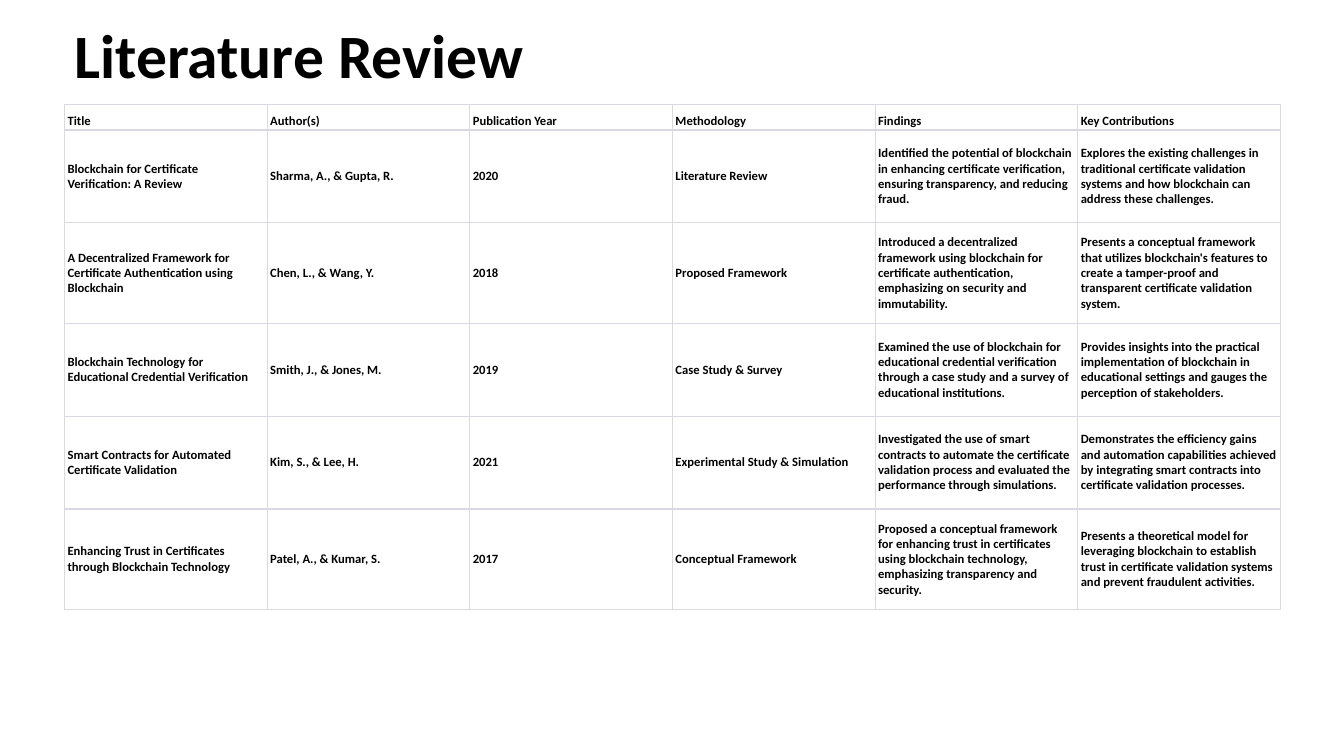
"""Builds the Literature Review slide with its table of blockchain studies."""
from dataclasses import astuple, dataclass

from lxml.etree import SubElement
from pptx import Presentation
from pptx.dml.color import RGBColor
from pptx.enum.text import MSO_ANCHOR as Anchor
from pptx.oxml.ns import qn
from pptx.slide import Slide
from pptx.table import _Cell as Cell
from pptx.text.text import _Paragraph as Paragraph
from pptx.util import Emu, Pt

EMU_PER_PX = 9144
BLACK = RGBColor(0x00, 0x00, 0x00)
BORDER = RGBColor(0xD9, 0xD9, 0xE3)
FONT = "Calibri"
THIN, REGULAR = Pt(0.6), Pt(1)
COLUMN_WIDTH = 201
ROW_HEIGHTS = (25, 92, 100, 92, 92, 100)


@dataclass(frozen=True)
class Study:
    title: str
    authors: str
    year: str
    methodology: str
    findings: str
    contributions: str


HEADINGS = Study(
    "Title", "Author(s)", "Publication Year", "Methodology", "Findings", "Key Contributions"
)
STUDIES = (
    Study(
        "Blockchain for Certificate Verification: A Review",
        "Sharma, A., & Gupta, R.",
        "2020",
        "Literature Review",
        "Identified the potential of blockchain in enhancing certificate verification, "
        "ensuring transparency, and reducing fraud.",
        "Explores the existing challenges in traditional certificate validation systems "
        "and how blockchain can address these challenges.",
    ),
    Study(
        "A Decentralized Framework for Certificate Authentication using Blockchain",
        "Chen, L., & Wang, Y.",
        "2018",
        "Proposed Framework",
        "Introduced a decentralized framework using blockchain for certificate "
        "authentication, emphasizing on security and immutability.",
        "Presents a conceptual framework that utilizes blockchain's features to create "
        "a tamper-proof and transparent certificate validation system.",
    ),
    Study(
        "Blockchain Technology for Educational Credential Verification",
        "Smith, J., & Jones, M.",
        "2019",
        "Case Study & Survey",
        "Examined the use of blockchain for educational credential verification through "
        "a case study and a survey of educational institutions.",
        "Provides insights into the practical implementation of blockchain in "
        "educational settings and gauges the perception of stakeholders.",
    ),
    Study(
        "Smart Contracts for Automated Certificate Validation",
        "Kim, S., & Lee, H.",
        "2021",
        "Experimental Study & Simulation",
        "Investigated the use of smart contracts to automate the certificate validation "
        "process and evaluated the performance through simulations.",
        "Demonstrates the efficiency gains and automation capabilities achieved by "
        "integrating smart contracts into certificate validation processes.",
    ),
    Study(
        "Enhancing Trust in Certificates through Blockchain Technology",
        "Patel, A., & Kumar, S.",
        "2017",
        "Conceptual Framework",
        "Proposed a conceptual framework for enhancing trust in certificates using "
        "blockchain technology, emphasizing transparency and security.",
        "Presents a theoretical model for leveraging blockchain to establish trust in "
        "certificate validation systems and prevent fraudulent activities.",
    ),
)


def px(length: int) -> Emu:
    """Turn px into EMU."""
    return Emu(length * EMU_PER_PX)


def add_bold_run(paragraph: Paragraph, wording: str, size: int) -> None:
    """Add one bold black run to the paragraph."""
    run = paragraph.add_run()
    run.text = wording
    run.font.name = FONT
    run.font.size = Pt(size)
    run.font.bold = True
    run.font.color.rgb = BLACK


def add_title(slide: Slide, wording: str) -> None:
    """Add the slide title."""
    frame = slide.shapes.add_textbox(px(64), px(-14), px(1150), px(145)).text_frame
    frame.word_wrap = True
    frame.vertical_anchor = Anchor.MIDDLE
    heading = frame.paragraphs[0]
    heading.line_spacing = 0.9
    add_bold_run(heading, wording, 44)


def set_borders(cell: Cell, top: Emu, bottom: Emu) -> None:
    """Draw the four cell borders, with thin sides."""
    properties = cell._tc.get_or_add_tcPr()
    for side, width in (("L", THIN), ("R", THIN), ("T", top), ("B", bottom)):
        line = SubElement(properties, qn(f"a:ln{side}"), w=str(int(width)))
        fill = SubElement(line, qn("a:solidFill"))
        SubElement(fill, qn("a:srgbClr"), val=str(BORDER))


def fill_cell(cell: Cell, wording: str, row: int) -> None:
    """Write and style one cell according to its row."""
    cell.margin_left = cell.margin_right = px(3)
    cell.margin_top = cell.margin_bottom = px(1)
    cell.vertical_anchor = Anchor.MIDDLE if row else Anchor.BOTTOM
    last_row = len(ROW_HEIGHTS) - 1
    set_borders(cell, REGULAR if row else THIN, REGULAR if row < last_row else THIN)
    cell.fill.background()
    add_bold_run(cell.text_frame.paragraphs[0], wording, 9)


def add_review_table(slide: Slide) -> None:
    """Add the table of reviewed studies."""
    records = [astuple(record) for record in (HEADINGS, *STUDIES)]
    columns = len(records[0])
    table = slide.shapes.add_table(
        len(records), columns, px(64), px(104), px(columns * COLUMN_WIDTH), px(sum(ROW_HEIGHTS))
    ).table
    table.first_row = table.horz_banding = False
    for column in table.columns:
        column.width = px(COLUMN_WIDTH)
    for row, (record, height) in enumerate(zip(records, ROW_HEIGHTS)):
        table.rows[row].height = px(height)
        for column, wording in enumerate(record):
            fill_cell(table.cell(row, column), wording, row)


def main() -> None:
    """Build and save the presentation."""
    deck = Presentation()
    deck.slide_width, deck.slide_height = px(1333), px(750)
    slide = deck.slides.add_slide(deck.slide_layouts[6])
    add_title(slide, "Literature Review")
    add_review_table(slide)
    deck.save("out.pptx")


if __name__ == "__main__":
    main()
